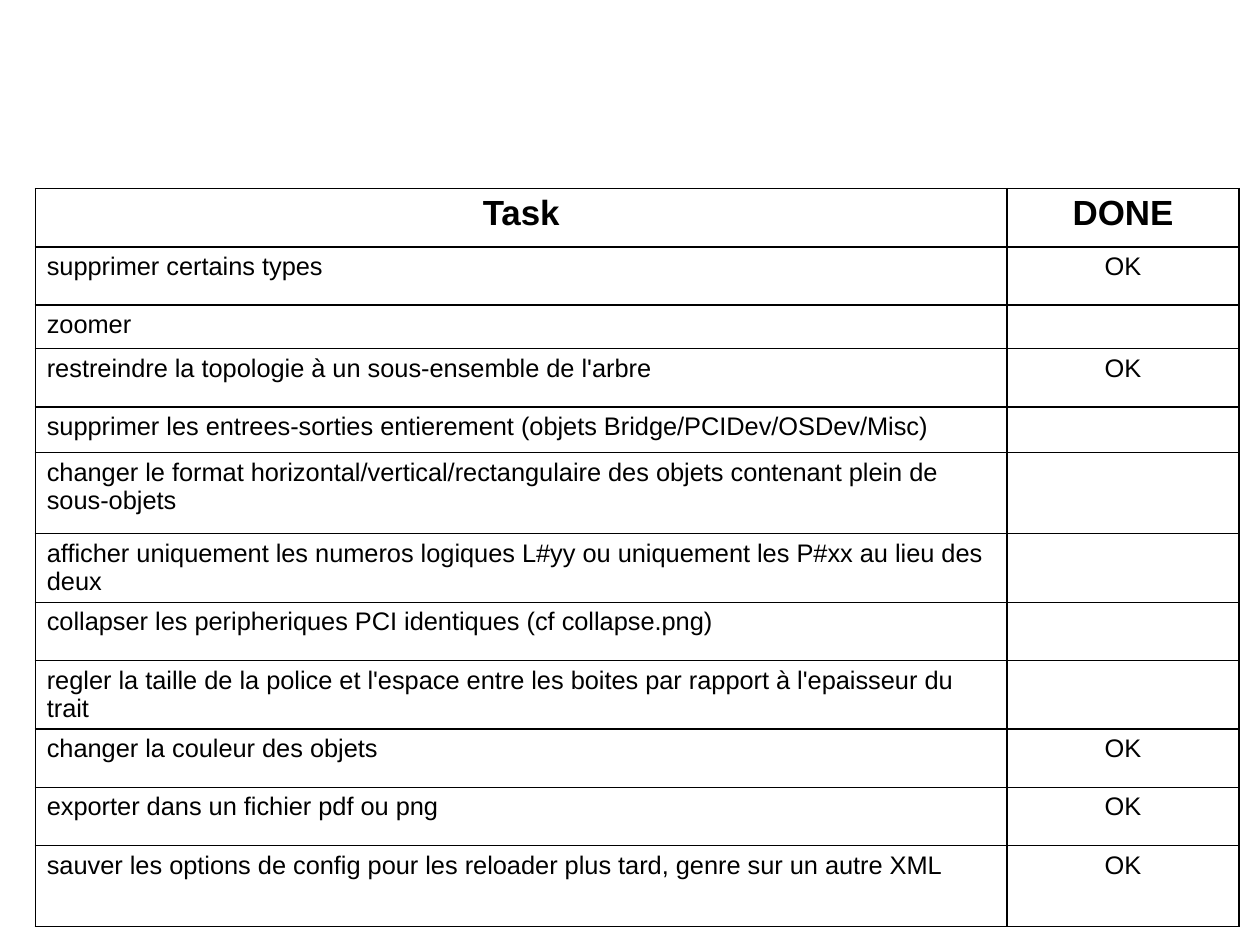
from lxml import etree
from pptx import Presentation
from pptx.dml.color import RGBColor
from pptx.enum import text
from pptx.oxml import ns
from pptx.util import Inches, Pt

BLACK = RGBColor(0, 0, 0)
FONT = "Arial"
BORDER_WIDTH = Pt(1)
CM_PER_INCH = 2.54
PAGE_CM = (28, 21)

# Content: heading, then task, status and row height in inches
HEADINGS = ("Task", "DONE")
HEADING_HEIGHT = 0.51
TASKS = [
    ("supprimer certains types", "OK", 0.51),
    ("zoomer", "", 0.38),
    ("restreindre la topologie à un sous-ensemble de l'arbre", "OK", 0.51),
    ("supprimer les entrees-sorties entierement (objets Bridge/PCIDev/OSDev/Misc)", "", 0.4),
    ("changer le format horizontal/vertical/rectangulaire des objets "
     "contenant plein de sous-objets", "", 0.71),
    ("afficher uniquement les numeros logiques L#yy ou uniquement les P#xx "
     "au lieu des deux", "", 0.6),
    ("collapser les peripheriques PCI identiques (cf collapse.png)", "", 0.51),
    ("regler la taille de la police et l'espace entre les boites "
     "par rapport à l'epaisseur du trait", "", 0.6),
    ("changer la couleur des objets", "OK", 0.51),
    ("exporter dans un fichier pdf ou png", "OK", 0.51),
    ("sauver les options de config pour les reloader plus tard, "
     "genre sur un autre XML", "OK", 0.71),
]
COLUMN_WIDTHS = (8.5, 2.03)
LEFT, TOP = 0.31, 1.65


def add_borders(cell):
    """Draw a solid black line on all four sides of a cell."""
    properties = cell._tc.get_or_add_tcPr()
    for position, side in enumerate(("lnL", "lnR", "lnT", "lnB")):
        line = etree.Element(ns.qn(f"a:{side}"), w=str(BORDER_WIDTH))
        fill = etree.SubElement(line, ns.qn("a:solidFill"))
        etree.SubElement(fill, ns.qn("a:srgbClr"), val=str(BLACK))
        properties.insert(position, line)


def write_cell(cell, words, size=16, bold=False, centred=False):
    """Fill a cell with formatted text and outline it."""
    cell.fill.background()
    add_borders(cell)
    para = cell.text_frame.paragraphs[0]
    para.alignment = text.PP_ALIGN.CENTER if centred else text.PP_ALIGN.LEFT
    if not words:
        # An empty cell keeps the text size, so its row does not grow
        etree.SubElement(para._p, ns.qn("a:endParaRPr"), sz=str(size * 100))
        return
    span = para.add_run()
    span.text = words
    span.font.name = FONT
    span.font.size = Pt(size)
    span.font.bold = bold
    span.font.color.rgb = BLACK


# Page
deck = Presentation()
deck.slide_width, deck.slide_height = (
    Inches(length / CM_PER_INCH) for length in PAGE_CM)
page = deck.slides.add_slide(deck.slide_layouts[6])

# Table grid
heights = [HEADING_HEIGHT] + [height for _, _, height in TASKS]
table = page.shapes.add_table(
    len(heights), len(COLUMN_WIDTHS), Inches(LEFT), Inches(TOP),
    Inches(sum(COLUMN_WIDTHS)), Inches(sum(heights))).table
table.horz_banding = False
table.first_row = False
for column, width in zip(table.columns, COLUMN_WIDTHS):
    column.width = Inches(width)
for row, height in zip(table.rows, heights):
    row.height = Inches(height)

# Heading row
for index, heading in enumerate(HEADINGS):
    write_cell(table.cell(0, index), heading, size=22, bold=True, centred=True)

# Task rows
for index, (task, status, _) in enumerate(TASKS, start=1):
    write_cell(table.cell(index, 0), task)
    write_cell(table.cell(index, 1), status, centred=True)

deck.save("out.pptx")
